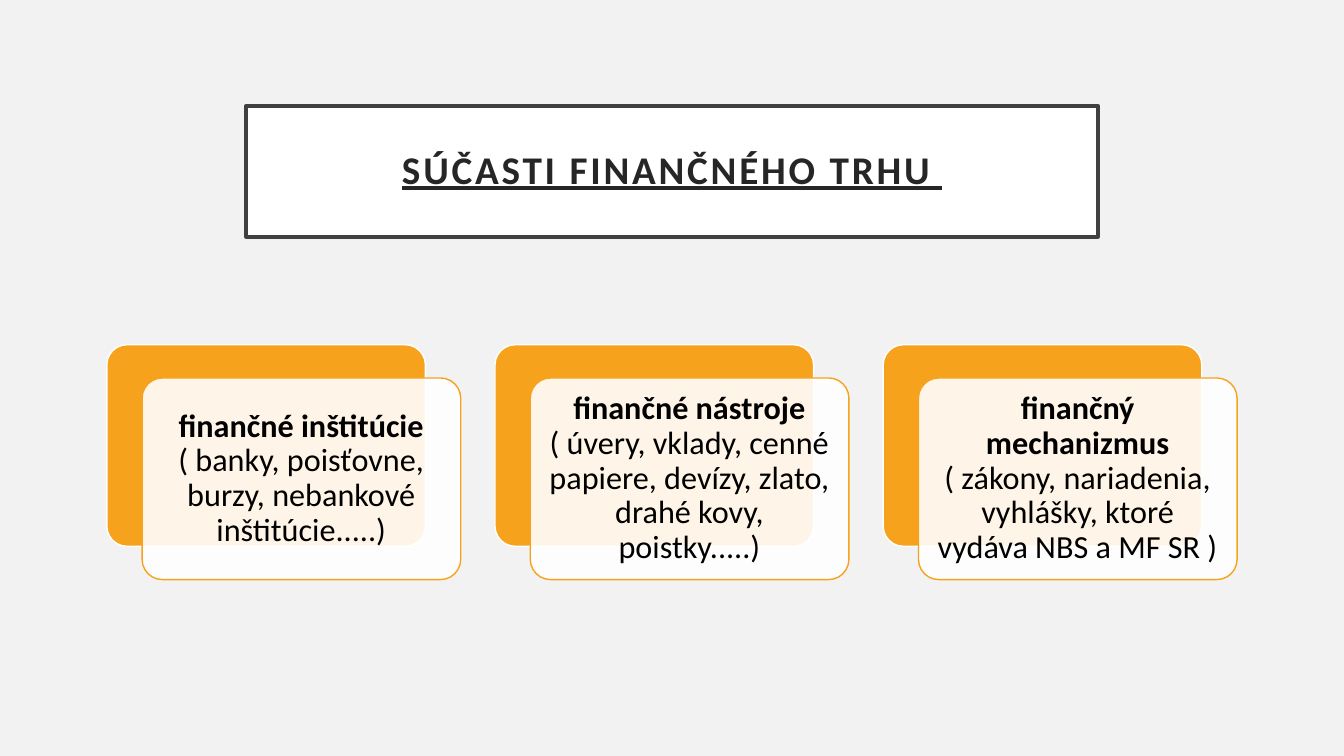
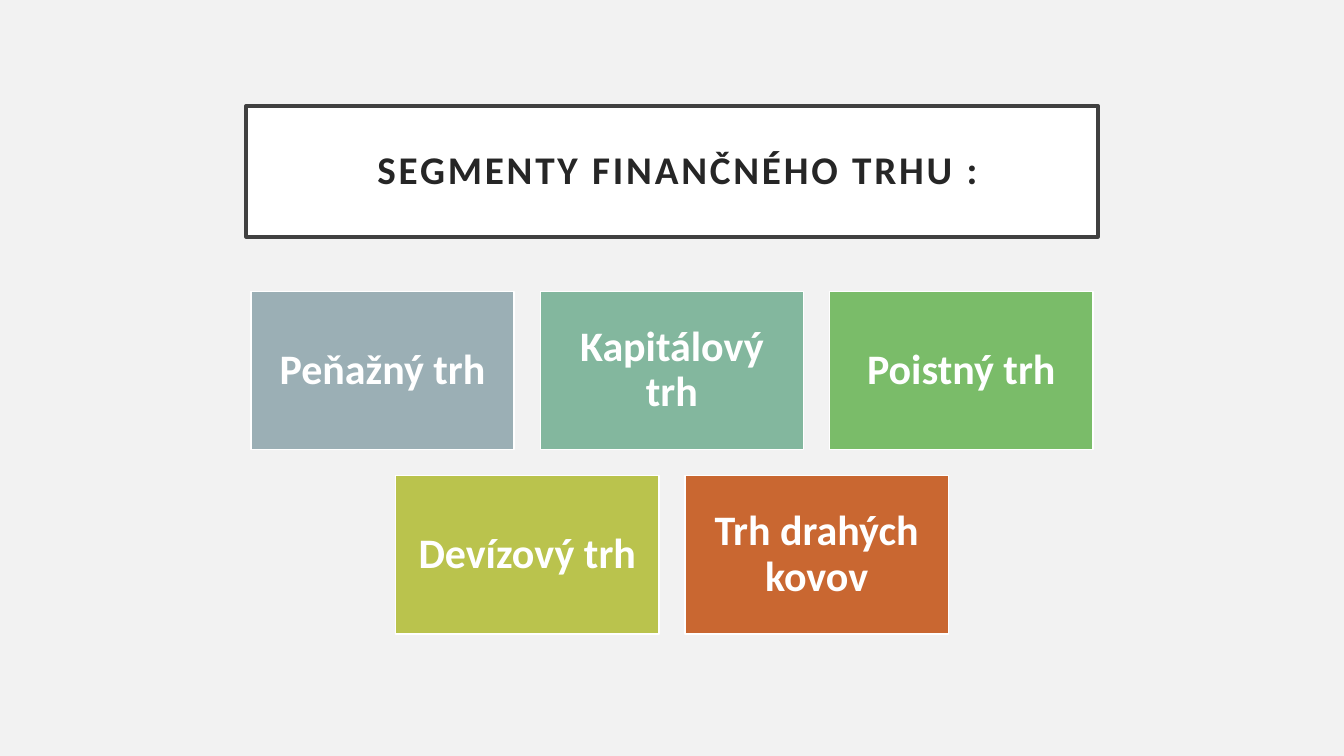
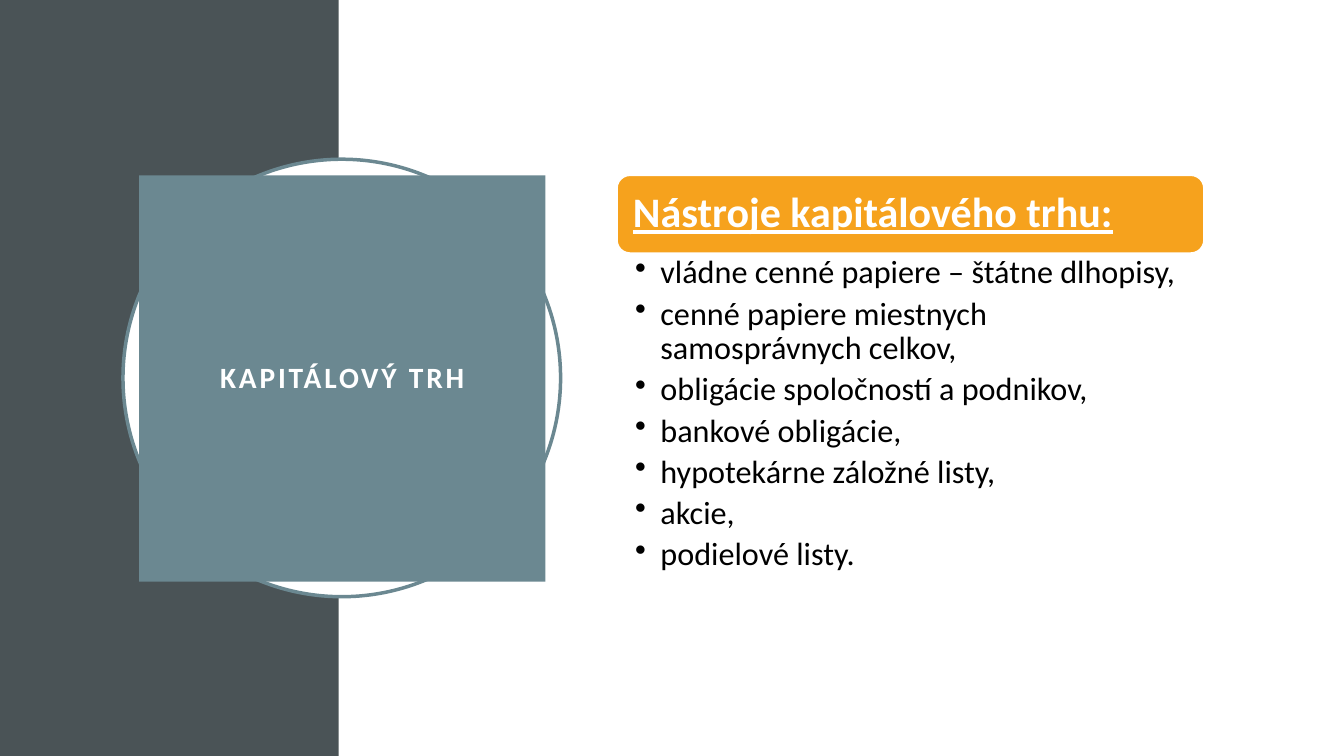
import pptx
import pptx.util
import pptx.dml.color
import pptx.enum.shapes
import pptx.enum.text
import pptx.oxml.ns
from dataclasses import dataclass
from lxml import etree

Inches, Pt = pptx.util.Inches, pptx.util.Pt
Shape = pptx.enum.shapes.MSO_SHAPE
Align = pptx.enum.text.PP_ALIGN
Anchor = pptx.enum.text.MSO_ANCHOR
qn = pptx.oxml.ns.qn

# Content
PARTS_TITLE = "SÚČASTI FINANČNÉHO TRHU "
PARTS = [
    ("finančné inštitúcie", "( banky, poisťovne, burzy, nebankové inštitúcie.....)"),
    ("finančné nástroje",
     "( úvery, vklady, cenné papiere, devízy, zlato, drahé kovy, poistky.....)"),
    ("finančný mechanizmus",
     "( zákony, nariadenia, vyhlášky, ktoré vydáva NBS a MF SR )"),
]
SEGMENTS_TITLE = " SEGMENTY FINANČNÉHO TRHU :"
SEGMENT_ROWS = [
    [("Peňažný trh", "9BAFB5"), ("Kapitálový trh", "83B79E"), ("Poistný trh", "7ABC69")],
    [("Devízový trh", "BAC34D"), ("Trh drahých kovov", "C96731")],
]
CAPITAL_TITLE = "KAPITÁLOVÝ TRH"
TOOLS_HEADING = "Nástroje kapitálového trhu:"
TOOLS = [
    "vládne cenné papiere – štátne dlhopisy,",
    "cenné papiere miestnych samosprávnych celkov,",
    "obligácie spoločností a podnikov,",
    "bankové obligácie,",
    "hypotekárne záložné listy,",
    "akcie,",
    "podielové listy.",
]


@dataclass(frozen=True)
class Theme:
    font: str = "Calibri"
    white: str = "FFFFFF"
    black: str = "000000"
    background: str = "F2F2F2"
    title_text: str = "262626"
    title_line: str = "404040"
    accent: str = "F6A21D"
    slate: str = "6B8891"
    dark: str = "4A5356"
    title_size: int = 28
    side_title_size: int = 21
    heading_size: int = 30
    body_size: int = 23
    thick: float = 2.5
    thin: float = 1


THEME = Theme()
WIDTH, HEIGHT = 13.33, 7.5


# Shared helpers
def rgb(value):
    return pptx.dml.color.RGBColor.from_string(value)


def add_slide(presentation, background):
    slide = presentation.slides.add_slide(presentation.slide_layouts[6])
    slide.background.fill.solid()
    slide.background.fill.fore_color.rgb = rgb(background)
    return slide


def add_box(slide, kind, box, fill, line=None, line_width=THEME.thin, radius=None):
    shape = slide.shapes.add_shape(kind, *map(Inches, box))
    shape.shadow.inherit = False
    shape.fill.solid()
    shape.fill.fore_color.rgb = rgb(fill)
    if line:
        shape.line.color.rgb = rgb(line)
        shape.line.width = Pt(line_width)
    else:
        shape.line.fill.background()
    if radius is not None:
        shape.adjustments[0] = radius
    return shape


def set_frame(shape, margins, anchor=Anchor.MIDDLE):
    frame = shape.text_frame
    frame.word_wrap = True
    frame.vertical_anchor = anchor
    (frame.margin_left, frame.margin_top,
     frame.margin_right, frame.margin_bottom) = map(Inches, margins)
    return frame


def style(paragraph, size, color, bold=None, underline=None, align=Align.CENTER):
    paragraph.alignment = align
    paragraph.line_spacing = 0.9
    font = paragraph.font
    font.name, font.size, font.color.rgb = THEME.font, Pt(size), rgb(color)
    font.bold, font.underline = bold, underline


def write(shape, text, margin, size, color, **options):
    paragraph = set_frame(shape, [margin] * 4).paragraphs[0]
    run = paragraph.add_run()
    run.text = text
    style(paragraph, size, color, bold=True, **options)
    return run


def write_title(shape, text, size, color, underline=None):
    run = write(shape, text, 0.2, size, color, underline=underline)
    run._r.get_or_add_rPr().set("spc", "200")


def add_title_band(slide, text, underline=None):
    band = add_box(slide, Shape.RECTANGLE, (2.44, 1.05, 8.45, 1.3),
                   THEME.white, THEME.title_line, THEME.thick)
    write_title(band, text, THEME.title_size, THEME.title_text, underline)


def set_opacity(shape, percent):
    color = shape.fill._xPr.find(qn("a:solidFill"))[0]
    etree.SubElement(color, qn("a:alpha")).set("val", str(percent * 1000))


def set_bullet(paragraph, indent):
    properties = paragraph._p.get_or_add_pPr()
    properties.set("marL", str(Inches(indent)))
    properties.set("indent", str(-Inches(indent)))
    bullet = etree.Element(qn("a:buChar"))
    bullet.set("char", "•")
    properties.insert_element_before(bullet, "a:tabLst", "a:defRPr", "a:extLst")


# Slide 1: parts of the market as offset cards
def build_parts(presentation):
    slide = add_slide(presentation, THEME.background)
    add_title_band(slide, PARTS_TITLE, underline=True)
    left, top, width, height = 1.06, 3.42, 3.16, 2
    shift_x, shift_y = 0.35, 0.33
    pitch = (WIDTH - 2 * left - width - shift_x) / (len(PARTS) - 1)
    for index, (name, examples) in enumerate(PARTS):
        x = left + index * pitch
        add_box(slide, Shape.ROUNDED_RECTANGLE, (x, top, width, height),
                THEME.accent, THEME.white, radius=0.1)
        card = add_box(slide, Shape.ROUNDED_RECTANGLE,
                       (x + shift_x, top + shift_y, width, height),
                       THEME.white, THEME.accent, radius=0.1)
        set_opacity(card, 90)
        paragraph = set_frame(card, [0.1] * 4).paragraphs[0]
        style(paragraph, THEME.body_size, THEME.black)
        name_run = paragraph.add_run()
        name_run.text = name
        name_run.font.bold = True
        paragraph.add_line_break()
        paragraph.add_run().text = examples


# Slide 2: segments in centred rows
def build_segments(presentation):
    slide = add_slide(presentation, THEME.background)
    add_title_band(slide, SEGMENTS_TITLE)
    top, width, height, gap = 2.89, 2.61, 1.57, 0.26
    for row, segments in enumerate(SEGMENT_ROWS):
        left = (WIDTH - len(segments) * (width + gap) + gap) / 2
        for column, (name, color) in enumerate(segments):
            box = (left + column * (width + gap), top + row * (height + gap), width, height)
            tile = add_box(slide, Shape.RECTANGLE, box, color, THEME.white)
            write(tile, name, 0.12, THEME.heading_size, THEME.white)


# Slide 3: capital market and its instruments
def build_capital_market(presentation):
    slide = add_slide(presentation, THEME.white)
    add_box(slide, Shape.RECTANGLE, (0, 0, 3.36, HEIGHT), THEME.dark)
    add_box(slide, Shape.OVAL, (1.22, 1.58, 4.34, 4.34),
            THEME.white, THEME.slate, THEME.thick)
    panel = add_box(slide, Shape.RECTANGLE, (1.38, 1.74, 4.03, 4.03), THEME.slate)
    write_title(panel, CAPITAL_TITLE, THEME.side_title_size, THEME.white)

    left, width = 6.12, 5.82
    heading = add_box(slide, Shape.ROUNDED_RECTANGLE, (left, 1.74, width, 0.77),
                      THEME.accent, THEME.white)
    write(heading, TOOLS_HEADING, 0.12, THEME.heading_size, THEME.white,
          underline=True, align=Align.LEFT)

    tool_list = slide.shapes.add_textbox(*map(Inches, (left, 2.5, width, 3.26)))
    frame = set_frame(tool_list, (0.18, 0.04, 0.23, 0.04), Anchor.TOP)
    for index, tool in enumerate(TOOLS):
        paragraph = frame.add_paragraph() if index else frame.paragraphs[0]
        paragraph.add_run().text = tool
        style(paragraph, THEME.body_size, THEME.black, align=Align.LEFT)
        paragraph.space_after = Pt(THEME.body_size * 0.2)
        set_bullet(paragraph, 0.25)


def main():
    presentation = pptx.Presentation()
    presentation.slide_width = Inches(WIDTH)
    presentation.slide_height = Inches(HEIGHT)
    build_parts(presentation)
    build_segments(presentation)
    build_capital_market(presentation)
    presentation.save("out.pptx")


if __name__ == "__main__":
    main()
